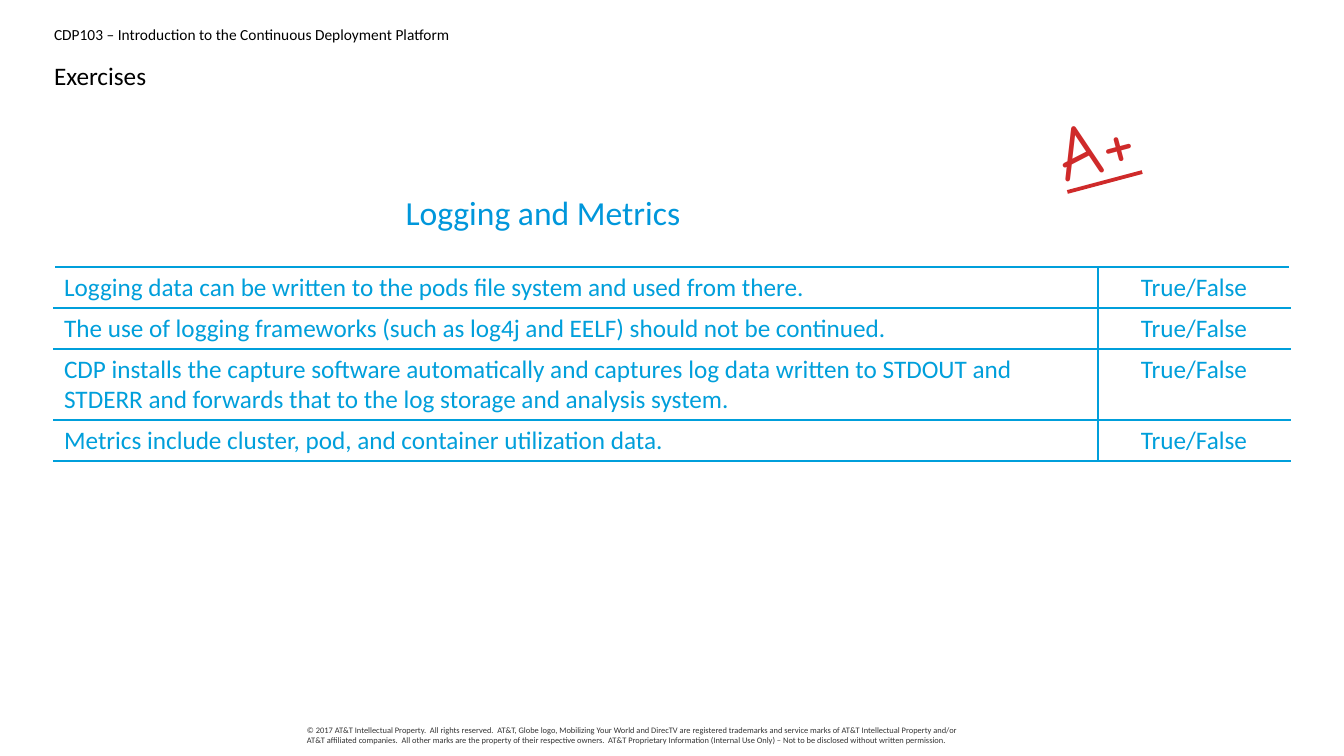
"""Build the Logging and Metrics exercise slide."""
from lxml import etree
from pptx import Presentation
from pptx import util as u
from pptx.dml.color import RGBColor
from pptx.enum import text
from pptx.oxml.ns import qn

PX = 914400 / 100.8
SIZE = (1344, 756)
HUES = {"ink": "000000", "note": "343434", "sky": "009FDB", "head": "0097DB", "mark": "CF2A2A"}
CENTER = text.PP_ALIGN.CENTER

LABELS = [
    ("CDP103 – Introduction to the Continuous Deployment Platform",
     (54, 25, 1236, 20), dict(size=11, hue="ink")),
    ("© 2017 AT&T Intellectual Property.  All rights reserved.  AT&T, Globe logo, Mobilizing Your World "
     "and DirecTV are registered trademarks and service marks of AT&T Intellectual Property and/or AT&T "
     "affiliated companies.  All other marks are the property of their respective owners.  AT&T Proprietary "
     "Information (Internal Use Only) – Not to be disclosed without written permission.",
     (307, 725, 669, 24), dict(size=6, hue="note")),
    ("Exercises", (54, 57, 1236, 37), dict(size=18, hue="ink", line=1.1, after=10)),
    ("Logging and Metrics", (290, 187, 506, 50), dict(size=24, hue="head", align=CENTER, pad=(10, 5))),
    ("A+", (1055, 92, 127, 90), dict(size=54, hue="mark", face="Comic Neue", under=True, turn=345.1)),
]
ITEMS = [
    "Logging data can be written to the pods file system and used from there.",
    "The use of logging frameworks (such as log4j and EELF) should not be continued.",
    "CDP installs the capture software automatically and captures log data written to STDOUT and STDERR "
    "and forwards that to the log storage and analysis system.",
    "Metrics include cluster, pod, and container utilization data.",
]
CHOICE = "True/False"
PLACE = (54, 267)
COLS = (1044, 192)
ROWS = (41, 41, 71, 41)


def px(num):
    return u.Emu(round(num * PX))


def write(frame, words, size=18, hue="sky", face="Calibri", align=None, line=None, after=None, under=None):
    para = frame.paragraphs[0]
    para.alignment = align
    para.line_spacing = line
    if after:
        para.space_after = u.Pt(after)
    run = para.add_run()
    run.text = words
    font = run.font
    font.size, font.name, font.underline = u.Pt(size), face, under
    font.color.rgb = RGBColor.from_string(HUES[hue])


def label(slide, words, box, pad=(0, 0), turn=0, **form):
    shape = slide.shapes.add_textbox(*map(px, box))
    shape.rotation = turn
    frame = shape.text_frame
    frame.word_wrap = True
    frame.margin_left = frame.margin_right = px(pad[0])
    frame.margin_top = frame.margin_bottom = px(pad[1])
    write(frame, words, **form)


def edge(cell, sides):
    props = cell._tc.get_or_add_tcPr()
    for side in sides:
        line = etree.SubElement(props, qn("a:ln" + side), w=str(u.Pt(1)))
        fill = etree.SubElement(line, qn("a:solidFill"))
        etree.SubElement(fill, qn("a:srgbClr"), val=HUES["sky"])
    cell.fill.background()


def quiz(slide):
    box = (*PLACE, sum(COLS), sum(ROWS))
    table = slide.shapes.add_table(len(ROWS), len(COLS), *map(px, box)).table
    table.first_row = table.horz_banding = False
    for col, wide in zip(table.columns, COLS):
        col.width = px(wide)
    for row, high, item in zip(table.rows, ROWS, ITEMS):
        row.height = px(high)
        left, right = row.cells
        write(left.text_frame, item)
        write(right.text_frame, CHOICE, align=CENTER)
        edge(left, "RTB")
        edge(right, "LTB")


def main():
    deck = Presentation()
    deck.slide_width, deck.slide_height = map(px, SIZE)
    slide = deck.slides.add_slide(deck.slide_layouts[6])
    for words, box, form in LABELS:
        label(slide, words, box, **form)
    quiz(slide)
    deck.save("out.pptx")


if __name__ == "__main__":
    main()
